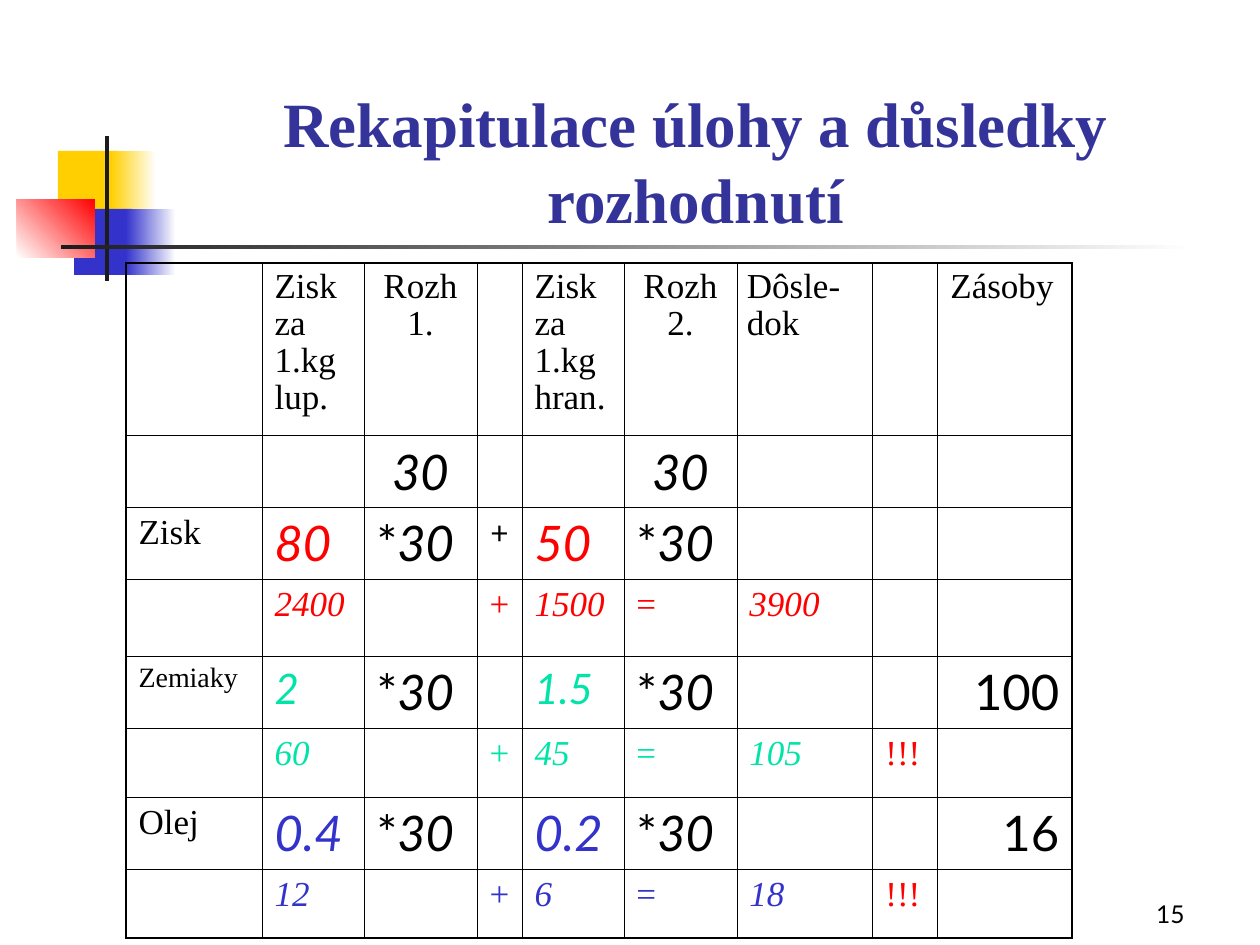
from pptx import Presentation
from pptx.dml.color import RGBColor
from pptx.enum.shapes import MSO_SHAPE
from pptx.enum.text import MSO_ANCHOR, PP_ALIGN
from pptx.oxml import parse_xml
from pptx.oxml.ns import nsdecls
from pptx.util import Pt

SCALE = 914400 / 126
SERIF, SANS = "Times New Roman", "Lato"
BLACK = RGBColor(0x00, 0x00, 0x00)
WHITE = RGBColor(0xFF, 0xFF, 0xFF)
CHARCOAL = RGBColor(0x1C, 0x1C, 0x1C)
YELLOW = RGBColor(0xFF, 0xCF, 0x01)
BLUE = RGBColor(0x33, 0x33, 0xCC)
NAVY = RGBColor(0x33, 0x33, 0x99)
RED = RGBColor(0xFF, 0x00, 0x00)
MINT = RGBColor(0x00, 0xE4, 0xA8)
OUTER, INNER = 1.08, 0.45

COLUMNS = [136, 102, 113, 45, 102, 113, 136, 65, 134]
ROWS = [172, 72, 72, 77, 72, 69, 72, 69]
HEADINGS = ["", "Zisk za 1.kg lup.", "Rozh 1.", "", "Zisk za 1.kg hran.", "Rozh 2.", "Dôsle-dok", "", "Zásoby"]
DECISION = "30"
RESOURCES = [
    ("Zisk", 20, RED, 28, ("80", "50"), ("2400", "1500", "3900"), "+", "", ""),
    ("Zemiaky", 16, MINT, 24, ("2", "1.5"), ("60", "45", "105"), "", "!!!", "100"),
    ("Olej", 20, BLUE, 28, ("0.4", "0.2"), ("12", "6", "18"), "", "!!!", "16"),
]


def px(length):
    return round(length * SCALE)


def write(frame, text, size=20, font=SERIF, color=BLACK, bold=False, italic=False, align=PP_ALIGN.LEFT, spacing=1.0):
    if not text:
        return
    paragraph = frame.paragraphs[0]
    paragraph.alignment = align
    paragraph.line_spacing = spacing
    run = paragraph.add_run()
    run.text = text
    run.font.size = Pt(size)
    run.font.name = font
    run.font.color.rgb = color
    run.font.bold = bold
    run.font.italic = italic


class Deck:
    """Holds the slide and draws each kind of element on it in px."""

    def __init__(self):
        self.presentation = Presentation()
        self.presentation.slide_width = px(1260)
        self.presentation.slide_height = px(945)
        self.slide = self.presentation.slides.add_slide(self.presentation.slide_layouts[6])

    def block(self, left, top, width, height, color, end=None, angle=0):
        block = self.slide.shapes.add_shape(MSO_SHAPE.RECTANGLE, px(left), px(top), px(width), px(height))
        block.shadow.inherit = False
        block.line.fill.background()
        if end is None:
            block.fill.solid()
            block.fill.fore_color.rgb = color
        else:
            block.fill.gradient()
            block.fill.gradient_angle = angle
            for stop, position, tone in zip(block.fill.gradient_stops, (0, 1), (color, end)):
                stop.position = position
                stop.color.rgb = tone

    def text(self, left, top, width, height, text, **style):
        frame = self.slide.shapes.add_textbox(px(left), px(top), px(width), px(height)).text_frame
        frame.word_wrap = True
        frame.vertical_anchor = MSO_ANCHOR.BOTTOM
        write(frame, text, **style)

    def table(self, left, top, columns, rows):
        grid = self.slide.shapes.add_table(
            len(rows), len(columns), px(left), px(top), px(sum(columns)), px(sum(rows))
        ).table
        grid.first_row = grid.horz_banding = False
        for column, width in zip(grid.columns, columns):
            column.width = px(width)
        for row, height in zip(grid.rows, rows):
            row.height = px(height)
        for r in range(len(rows)):
            for c in range(len(columns)):
                edges = {"L": c == 0, "R": c == len(columns) - 1, "T": r == 0, "B": r == len(rows) - 1}
                self.border(grid.cell(r, c), edges)
        return grid

    def border(self, cell, edges):
        properties = cell._tc.get_or_add_tcPr()
        for side, outer in edges.items():
            properties.append(parse_xml(
                f'<a:ln{side} {nsdecls("a")} w="{Pt(OUTER if outer else INNER)}"><a:solidFill>'
                f'<a:srgbClr val="{BLACK}"/></a:solidFill></a:ln{side}>'
            ))
        cell.fill.background()


def draw_ornament(deck):
    deck.block(58, 151, 60, 66, YELLOW)
    deck.block(111, 151, 45, 66, YELLOW, end=WHITE)
    deck.block(74, 209, 58, 66, BLUE)
    deck.block(126, 209, 50, 66, BLUE, end=WHITE)
    deck.block(17, 199, 78, 59, WHITE, end=RED, angle=45)
    deck.block(105, 136, 4, 145, CHARCOAL)
    deck.block(61, 245, 1134, 4, CHARCOAL, end=WHITE)


def fill_table(grid):
    def put(row, column, text, **style):
        write(grid.cell(row, column).text_frame, text, **style)

    for column, heading in enumerate(HEADINGS):
        centred = heading.startswith("Rozh")
        put(0, column, heading, spacing=0.95, align=PP_ALIGN.CENTER if centred else PP_ALIGN.LEFT)
    grid.cell(0, 6).margin_left = px(10)
    for column in (2, 5):
        put(1, column, DECISION, size=28, font=SANS, italic=True, align=PP_ALIGN.CENTER)

    for index, resource in enumerate(RESOURCES):
        label, label_size, color, rate_size, rates, results, plus, warning, stock = resource
        row = 2 + 2 * index
        put(row, 0, label, size=label_size)
        for column, rate in zip((1, 4), rates):
            put(row, column, rate, size=rate_size, font=SANS, color=color, italic=True)
            put(row, column + 1, "*", size=28, font=SANS)
            put(row, column + 1, DECISION, size=28, font=SANS, italic=True)
        put(row, 3, plus, size=18, font=SANS, align=PP_ALIGN.CENTER)
        put(row, 8, stock, size=28, font=SANS, align=PP_ALIGN.RIGHT)
        for column, result in zip((1, 4, 6), results):
            put(row + 1, column, result, color=color, italic=True)
        for column, sign in ((3, "+"), (5, "=")):
            put(row + 1, column, sign, color=color)
        put(row + 1, 7, warning, color=RED)


def main():
    deck = Deck()
    draw_ornament(deck)
    deck.text(935, 872, 262, 63, "15", size=14, font=SANS, align=PP_ALIGN.RIGHT)
    deck.text(159, 84, 1073, 158, "Rekapitulace úlohy a důsledky rozhodnutí",
              size=36, color=NAVY, bold=True, align=PP_ALIGN.CENTER)
    fill_table(deck.table(126, 263, COLUMNS, ROWS))
    deck.presentation.save("out.pptx")


if __name__ == "__main__":
    main()
